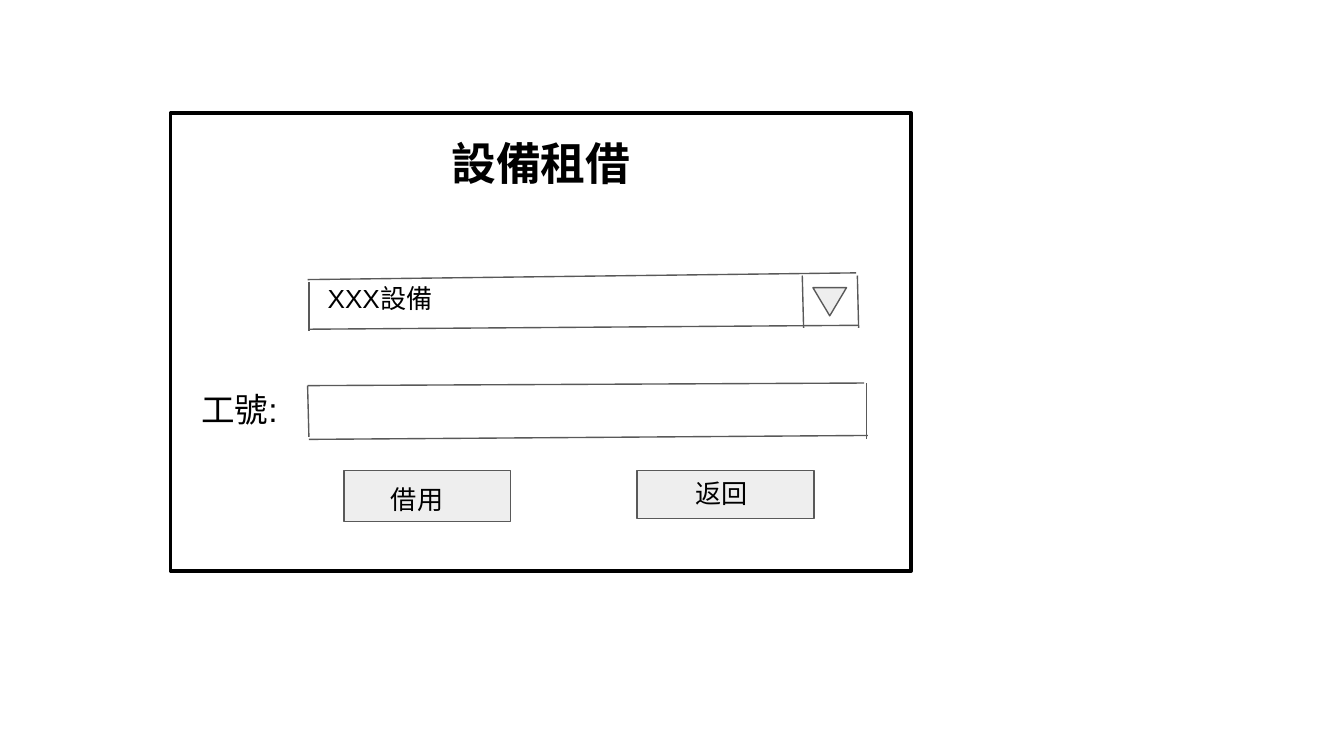
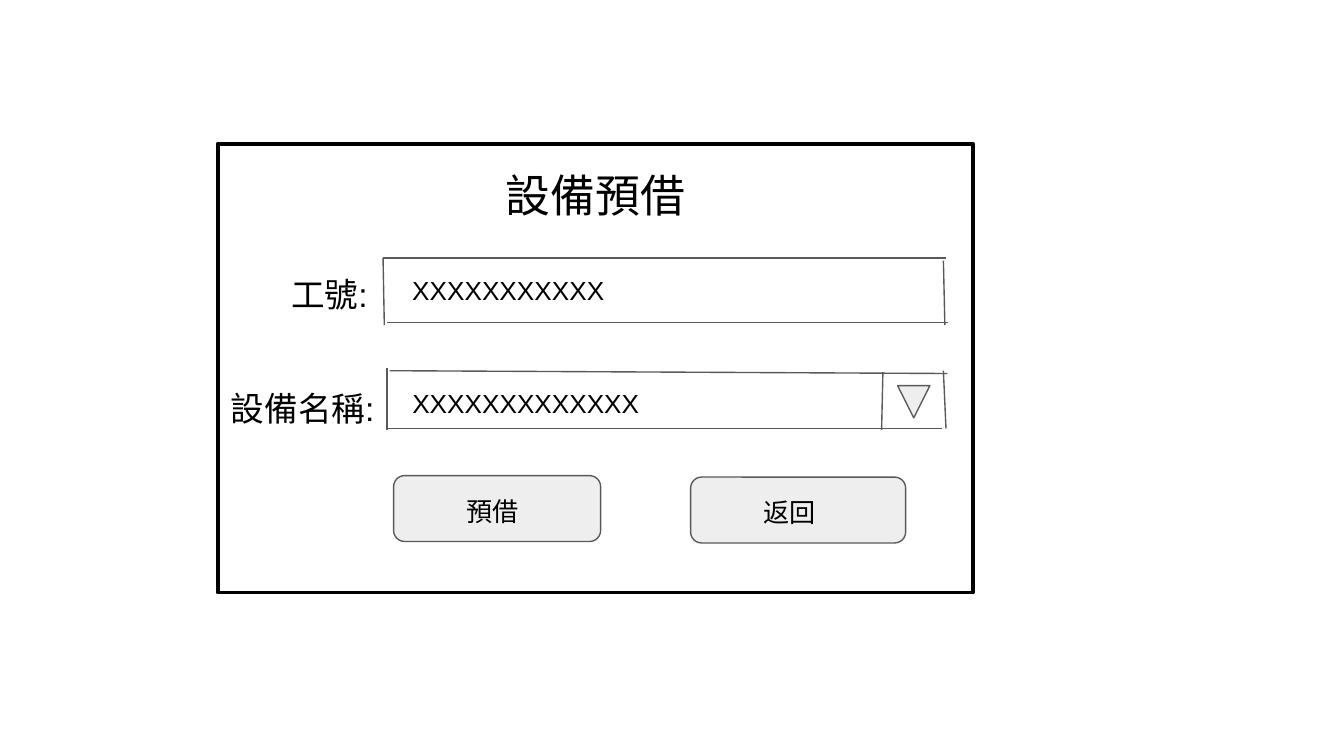
"""Build two wireframe slides: equipment rental and equipment reservation."""
from lxml import etree
from pptx import Presentation
from pptx.dml.color import RGBColor
from pptx.enum.shapes import MSO_CONNECTOR as Line, MSO_SHAPE as Shape
from pptx.enum.text import MSO_ANCHOR as Anchor, PP_ALIGN as Align
from pptx.oxml.ns import qn
from pptx.util import Pt

COLORS = {"ink": "000000", "stroke": "595959", "control": "EEEEEE"}
FONT = "Arial"
TITLE, LABEL, VALUE = 24, 18, 14
INSET = 7.2
THIN, THICK = 0.75, 2


def color(name):
    """Return the palette colour called name."""
    return RGBColor.from_string(COLORS[name])


def place(origin, box):
    """Shift a box by an origin and return its four lengths."""
    left, top, width, height = box
    return Pt(origin[0] + left), Pt(origin[1] + top), Pt(width), Pt(height)


def add_words(slide, origin, box, words, size, bold=False, align=Align.LEFT):
    """Write one line of text in a box relative to origin."""
    frame = slide.shapes.add_textbox(*place(origin, box)).text_frame
    frame.word_wrap = True
    frame.vertical_anchor = Anchor.TOP
    frame.margin_left = frame.margin_right = Pt(INSET)
    frame.margin_top = frame.margin_bottom = Pt(INSET)
    line = frame.paragraphs[0]
    line.text = words
    line.alignment = align
    line.font.name = FONT
    line.font.size = Pt(size)
    line.font.bold = bold
    line.font.color.rgb = color("ink")


def add_outline(slide, origin, box, kind, fill="control", stroke="stroke", weight=THIN):
    """Draw a preset shape relative to origin, unfilled when fill is None."""
    outline = slide.shapes.add_shape(kind, *place(origin, box))
    outline.shadow.inherit = False
    if fill:
        outline.fill.solid()
        outline.fill.fore_color.rgb = color(fill)
    else:
        outline.fill.background()
    outline.line.color.rgb = color(stroke)
    outline.line.width = Pt(weight)
    return outline


def add_field(slide, panel, corner, strokes, label=None, value=None):
    """Draw a sketched input field, with its label and value, and return its origin."""
    origin = panel[0] + corner[0], panel[1] + corner[1]
    for x1, y1, x2, y2 in strokes:
        stroke = slide.shapes.add_connector(
            Line.STRAIGHT, Pt(origin[0] + x1), Pt(origin[1] + y1),
            Pt(origin[0] + x2), Pt(origin[1] + y2))
        stroke.line.color.rgb = color("stroke")
        stroke.line.width = Pt(THIN)
        properties = stroke.element.find(qn("p:spPr"))
        etree.SubElement(properties, qn("a:effectLst"))
    for entry, size in ((label, LABEL), (value, VALUE)):
        if entry:
            words, box = entry
            add_words(slide, origin, box, words, size)
    return origin


def add_dropdown(slide, panel, corner, strokes, arrow, label=None, value=None):
    """Draw a field whose last stroke divides off a down arrow."""
    origin = add_field(slide, panel, corner, strokes, label, value)
    kind, box, turn = arrow
    add_outline(slide, origin, box, kind).rotation = turn


def add_button(slide, panel, box, kind, caption, caption_box):
    """Draw a button and its caption, placed relative to the button."""
    add_outline(slide, panel, box, kind)
    add_words(slide, (panel[0] + box[0], panel[1] + box[1]), caption_box, caption, VALUE)


def add_title(slide, panel, words, top, height, bold=False):
    """Centre the title across the panel."""
    add_words(slide, panel, (0, top, panel[2], height), words, TITLE, bold, Align.CENTER)


def add_frame(slide, panel):
    """Draw the heavy border around the panel."""
    add_outline(slide, panel[:2], (0, 0, *panel[2:]), Shape.RECTANGLE, None, "ink", THICK)


def build_rental(slide, panel):
    """Lay out the equipment rental form."""
    add_title(slide, panel, "設備租借", 5, 39.6, bold=True)
    add_dropdown(
        slide, panel, (73.4, 85.7),
        [(0, 3.6, 293.8, 0), (0.7, 5, 0.7, 31), (0.7, 30.2, 295.2, 28.1),
         (294.5, 1.4, 295.2, 29.5), (265, 1.4, 265.7, 29.5)],
        (Shape.ISOSCELES_TRIANGLE, (270.7, 7.9, 18, 15.1), 180),
        value=("XXX設備", (3.6, 1.4, 257.8, 10.8)))
    add_field(
        slide, panel, (73.4, 144.7),
        [(0, 1.4, 0.7, 28.8), (0, 1.4, 298.1, 0), (0.7, 30.2, 300.2, 28.1),
         (299.5, 0, 299.5, 30.2)],
        label=("工號:", (-64.1, -4.3, 64.8, 27.4)))
    add_button(slide, panel, (92.9, 191.5, 89.3, 27.4), Shape.RECTANGLE,
               "借用", (18, 0, 87.8, 18.7))
    add_button(slide, panel, (249.8, 191.5, 95, 25.9), Shape.RECTANGLE,
               "返回", (24.5, 0, 64.8, 10.8))
    add_frame(slide, panel)


def build_reservation(slide, panel):
    """Lay out the equipment reservation form."""
    add_title(slide, panel, "設備預借", 5.8, 79.2)
    add_field(
        slide, panel, (88.6, 61.2),
        [(0, 0, 0.7, 36), (0, 0, 301.7, 0), (2.2, 34.6, 302.4, 34.6),
         (300.2, 1.4, 301, 36)],
        label=("工號:", (-56.2, 1.4, 74.9, 32.4)),
        value=("XXXXXXXXXXX", (8.6, 1.4, 283, 18)))
    add_dropdown(
        slide, panel, (90.7, 120.2),
        [(0, 0, 0, 33.1), (1.4, 1.4, 300.2, 2.9), (298.1, 1.4, 299.5, 32.4),
         (0.7, 32.4, 297.4, 32.4), (265.7, 2.2, 265, 33.1)],
        (Shape.FLOWCHART_MERGE, (273.6, 9.4, 17.3, 17.3), 0),
        label=("設備名稱:", (-90.7, 3.6, 103, 27.4)),
        value=("XXXXXXXXXXXXX", (6.5, 2.9, 248.4, 17.3)))
    for caption, left, top, width in (("預借", 94.3, 177.8, 110.9),
                                      ("返回", 253.4, 178.6, 115.2)):
        add_button(slide, panel, (left, top, width, 35.3), Shape.ROUNDED_RECTANGLE,
                   caption, (31.7, 3.3, 90.7, 23))
    add_frame(slide, panel)


def main():
    """Build both forms and save the deck."""
    deck = Presentation()
    deck.slide_width, deck.slide_height = Pt(720), Pt(405)
    for build, panel in ((build_rental, (91.4, 60.5, 396.7, 245.5)),
                         (build_reservation, (116.6, 77, 404.6, 240.5))):
        build(deck.slides.add_slide(deck.slide_layouts[6]), panel)
    deck.save("out.pptx")


if __name__ == "__main__":
    main()
